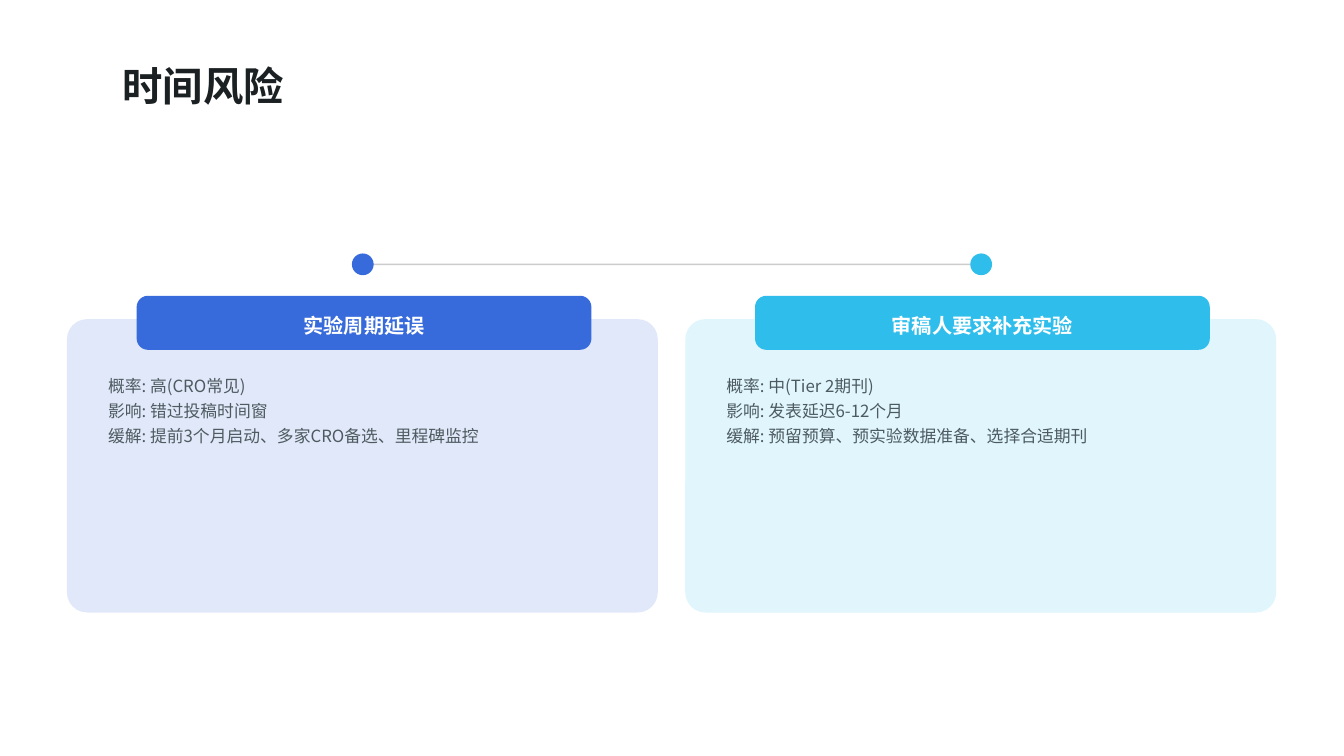
from lxml import etree
from pptx import Presentation
from pptx.dml.color import RGBColor
from pptx.enum.shapes import MSO_CONNECTOR, MSO_SHAPE
from pptx.enum.text import MSO_ANCHOR, MSO_AUTO_SIZE, PP_ALIGN
from pptx.oxml.ns import qn
from pptx.util import Inches, Pt

ROUNDED = MSO_SHAPE.ROUNDED_RECTANGLE
OVAL = MSO_SHAPE.OVAL
STRAIGHT = MSO_CONNECTOR.STRAIGHT
MIDDLE, TOP = MSO_ANCHOR.MIDDLE, MSO_ANCHOR.TOP
LEFT, CENTER = PP_ALIGN.LEFT, PP_ALIGN.CENTER
NO_AUTOFIT = MSO_AUTO_SIZE.NONE

FONT = "Noto Sans CJK SC"
CARD_TOP, CARD_WIDTH, CARD_HEIGHT = 3.96, 7.33, 3.64
FIRST_LEFT, CARD_PITCH = 0.83, 7.67
DOT_SIZE, DOT_OFFSET, DOT_Y = 0.27, 3.67, 3.28
RISKS = [
    ("实验周期延误", "376ADA", [
        "概率: 高(CRO常见)",
        "影响: 错过投稿时间窗",
        "缓解: 提前3个月启动、多家CRO备选、里程碑监控",
    ]),
    ("审稿人要求补充实验", "2FBEEB", [
        "概率: 中(Tier 2期刊)",
        "影响: 发表延迟6-12个月",
        "缓解: 预留预算、预实验数据准备、选择合适期刊",
    ]),
]


def color(value):
    """Return the colour for a hex string."""
    return RGBColor.from_string(value)


def set_alpha(color_format_parent, percent):
    """Set the opacity of the solid colour found inside an element."""
    solid_color = color_format_parent.find(".//" + qn("a:srgbClr"))
    etree.SubElement(solid_color, qn("a:alpha"), val=str(percent * 1000))


def write_text(shape, lines, size, text_color, bold=False, align=LEFT, anchor=MIDDLE):
    """Fill a shape with one paragraph for each line."""
    frame = shape.text_frame
    frame.text = "\n".join(lines)
    frame.word_wrap = True
    frame.auto_size = NO_AUTOFIT
    frame.vertical_anchor = anchor
    frame.margin_left = frame.margin_top = frame.margin_right = frame.margin_bottom = 0
    for paragraph in frame.paragraphs:
        paragraph.alignment = align
        paragraph.line_spacing = 1.25
        paragraph.space_before = Pt(0)
        font = paragraph.font
        font.size, font.bold, font.name = Pt(size), bold, FONT
        font.color.rgb = color(text_color)
        defaults = paragraph._p.pPr.find(qn("a:defRPr"))
        etree.SubElement(defaults, qn("a:ea"), typeface=FONT)


def add_filled(slide, preset, left, top, width, height, fill):
    """Add a preset shape with a plain fill and no outline."""
    shape = slide.shapes.add_shape(
        preset, Inches(left), Inches(top), Inches(width), Inches(height))
    shape.shadow.inherit = False
    shape.fill.solid()
    shape.fill.fore_color.rgb = color(fill)
    shape.line.fill.background()
    return shape


def add_title(slide, left, top, width, height):
    """Place and format the slide title."""
    title = slide.shapes.title
    title.left, title.top = Inches(left), Inches(top)
    title.width, title.height = Inches(width), Inches(height)
    write_text(title, ["时间风险"], 36, "1B2022", bold=True)


def add_timeline(slide, left, right, y):
    """Draw the grey line and a coloured dot at each of its ends."""
    line = slide.shapes.add_connector(
        STRAIGHT, Inches(left), Inches(y), Inches(right), Inches(y))
    line.line.width = Pt(1.5)
    line.line.color.rgb = color("808080")
    properties = line._element.spPr
    set_alpha(properties, 40)
    etree.SubElement(properties, qn("a:effectLst"))
    for center, (_, accent, _) in zip((left, right), RISKS):
        add_filled(slide, OVAL, center - DOT_SIZE / 2, y - DOT_SIZE / 2,
                   DOT_SIZE, DOT_SIZE, accent)


def add_risk_card(slide, left, top, width, height, risk):
    """Draw a pale card with its heading tab and details."""
    heading, accent, details = risk
    card = add_filled(slide, ROUNDED, left, top, width, height, accent)
    card.adjustments[0] = 0.069
    set_alpha(card._element.spPr, 15)

    body = slide.shapes.add_textbox(
        Inches(left + 0.51), Inches(top + 0.64), Inches(width - 1.02), Inches(height - 1.09))
    write_text(body, details, 15, "4D5B61", anchor=TOP)

    tab_width = 5.62
    tab = add_filled(slide, ROUNDED, left + (width - tab_width) / 2 + 0.02, top - 0.28,
                     tab_width, 0.65, accent)
    tab.adjustments[0] = 0.2
    tab.line.width = Pt(1.5)
    tab.line.color.rgb = color(accent)
    write_text(tab, [heading], 18, "FFFFFF", bold=True, align=CENTER)


def main():
    """Build the time risk slide and save it."""
    presentation = Presentation()
    presentation.slide_width, presentation.slide_height = Inches(16.67), Inches(9.38)
    slide = presentation.slides.add_slide(presentation.slide_layouts[5])
    add_title(slide, 1.52, 0.52, 14.27, 0.92)
    first_dot = FIRST_LEFT + DOT_OFFSET
    add_timeline(slide, first_dot, first_dot + CARD_PITCH, DOT_Y)
    for index, risk in enumerate(RISKS):
        add_risk_card(slide, FIRST_LEFT + index * CARD_PITCH, CARD_TOP,
                      CARD_WIDTH, CARD_HEIGHT, risk)
    presentation.save("out.pptx")


if __name__ == "__main__":
    main()
